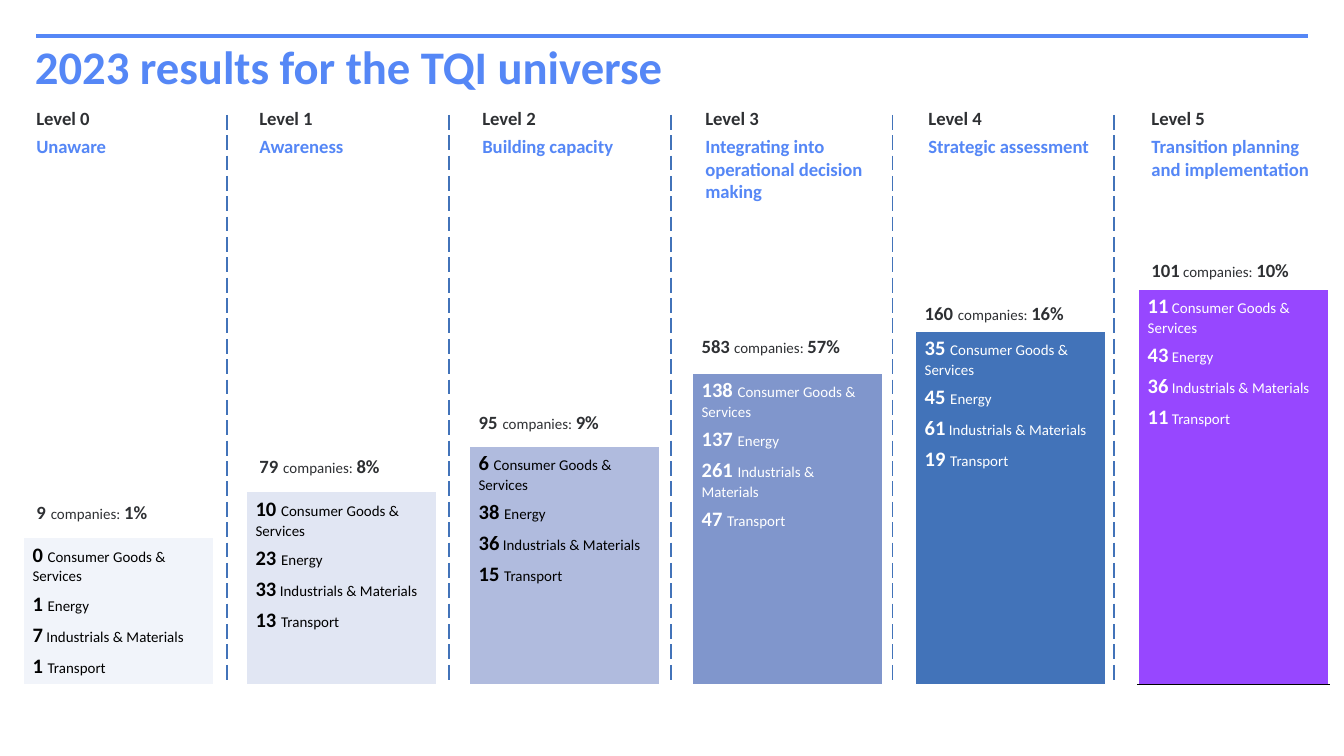
import pptx
import pptx.dml.color
import pptx.enum.dml
import pptx.enum.shapes
import pptx.enum.text
import pptx.oxml
import pptx.oxml.ns
import pptx.util

Pt = pptx.util.Pt
RGB = pptx.dml.color.RGBColor
Anchor = pptx.enum.text.MSO_ANCHOR

BLUE = RGB(0x55, 0x87, 0xF6)
DASH = RGB(0x42, 0x73, 0xB9)
INK = RGB(0x2E, 0x30, 0x33)
BLACK = RGB(0, 0, 0)
WHITE = RGB(0xFF, 0xFF, 0xFF)
FILLS = [RGB(0xF1, 0xF4, 0xFA), RGB(0xE1, 0xE6, 0xF3), RGB(0xB0, 0xBB, 0xDE),
         RGB(0x80, 0x96, 0xCC), DASH, RGB(0x97, 0x47, 0xFF)]

SECTORS = ["Consumer Goods & Services", "Energy", "Industrials & Materials", "Transport"]

# name, companies, share, size of the space after the total, box row, sector counts
LEVELS = [
    ("Unaware", 9, "1%", 12, 8, (0, 1, 7, 1)),
    ("Awareness", 79, "8%", 12, 7, (10, 23, 33, 13)),
    ("Building capacity", 95, "9%", 12, 6, (6, 38, 36, 15)),
    ("Integrating into operational decision making", 583, "57%", 10, 4,
     (138, 137, 261, 47)),
    ("Strategic assessment", 160, "16%", 12, 3, (35, 45, 61, 19)),
    ("Transition planning and implementation", 101, "10%", 8, 2, (11, 43, 36, 11)),
]
ROWS = [66, 34.8, 22.5, 22.5, 16.6, 22.5, 24.6, 24.6, 78.8]
LAST = len(ROWS) - 1
WIDE, GAP = 102.25, 17


class Deck:
    face = "Calibri"

    def __init__(self):
        self.prs = pptx.Presentation()
        self.prs.slide_width, self.prs.slide_height = Pt(720), Pt(405)
        self.slide = self.prs.slides.add_slide(self.prs.slide_layouts[5])

    def style(self, para, color, size=None, bold=None):
        font = para.font
        font.name, font.size, font.bold = self.face, size and Pt(size), bold
        font.color.rgb = color

    def title(self, text, x, y, w, h):
        box = self.slide.shapes.title
        box.left, box.top, box.width, box.height = Pt(x), Pt(y), Pt(w), Pt(h)
        frame = box.text_frame
        frame.text = text
        frame.margin_left = frame.margin_right = 0
        frame.margin_top = frame.margin_bottom = 0
        frame.vertical_anchor = Anchor.TOP
        frame.auto_size = pptx.enum.text.MSO_AUTO_SIZE.NONE
        para = frame.paragraphs[0]
        para.alignment = pptx.enum.text.PP_ALIGN.LEFT
        self.style(para, BLUE, 25, True)

    def line(self, x1, y1, x2, y2, color, width, dash=None):
        line = self.slide.shapes.add_connector(
            pptx.enum.shapes.MSO_CONNECTOR.STRAIGHT, Pt(x1), Pt(y1), Pt(x2), Pt(y2))
        line.line.color.rgb = color
        line.line.width = Pt(width)
        line.line.dash_style = dash
        line._element.spPr.append(pptx.oxml.parse_xml(
            f"<a:effectLst {pptx.oxml.ns.nsdecls('a')}/>"))

    def table(self, x, y, cols, rows):
        frame = self.slide.shapes.add_table(
            len(rows), len(cols), Pt(x), Pt(y), Pt(sum(cols)), Pt(sum(rows)))
        grid = frame.table
        grid.first_row = grid.horz_banding = False
        for col, width in zip(grid.columns, cols):
            col.width = Pt(width)
        for row, height in zip(grid.rows, rows):
            row.height = Pt(height)
        # Small type keeps blank cells from stretching their rows
        for cell in grid.iter_cells():
            cell.fill.background()
            end = cell.text_frame.paragraphs[0]._p.get_or_add_endParaRPr()
            end.set("sz", "600")
        return grid

    def fill(self, cell, color):
        cell.fill.solid()
        cell.fill.fore_color.rgb = color

    def inset(self, cell):
        cell.margin_left = cell.margin_right = Pt(5.2)
        cell.margin_top = cell.margin_bottom = Pt(2.6)

    def para(self, cell, first, color, runs):
        frame = cell.text_frame
        para = frame.paragraphs[0] if first else frame.add_paragraph()
        para.space_after = Pt(3)
        self.style(para, color)
        for text, size, bold in runs:
            run = para.add_run()
            run.text, run.font.size, run.font.bold = text, Pt(size), bold

    def border(self, cell, color):
        edge = pptx.oxml.parse_xml(
            f"<a:lnB {pptx.oxml.ns.nsdecls('a')} w='9525'><a:solidFill>"
            f"<a:srgbClr val='{color}'/></a:solidFill></a:lnB>")
        cell._tc.get_or_add_tcPr().insert(0, edge)


def main():
    deck = Deck()

    # Heading
    deck.line(19.5, 19.5, 700.5, 19.5, BLUE, 2)
    deck.title("2023 results for the TQI universe", 18.7, 20.2, 404, 29.5)

    # Staircase table: level columns with gaps between them
    cols = [WIDE, GAP] * (len(LEVELS) - 1) + [WIDE]
    grid = deck.table(12.25, 54, cols, ROWS)
    for i, (name, total, share, space, top, counts) in enumerate(LEVELS):
        col = 2 * i

        # Level heading
        head = grid.cell(0, col)
        deck.para(head, True, INK, [(f"Level {i}", 10, True)])
        deck.para(head, False, BLUE, [(name, 10, True)])

        # Total above the box
        label = grid.cell(top - 1, col)
        deck.para(label, True, INK, [(str(total), 10, True), (" ", space, True),
                                     ("companies: ", 8, False), (share, 10, True)])
        if i in (2, 3, 4):
            deck.inset(label)
        if i >= 4:
            label.vertical_anchor = Anchor.BOTTOM

        # Box with sector counts
        box = grid.cell(top, col)
        if top < LAST:
            box.merge(grid.cell(LAST, col))
        deck.fill(box, FILLS[i])
        deck.inset(box)
        for k, (count, sector) in enumerate(zip(counts, SECTORS)):
            tight = i == 5 or (k == 2 and i != 3)
            deck.para(box, k == 0, WHITE if i >= 3 else BLACK,
                      [(str(count), 11, True), (" ", 8 if tight else 11, not tight),
                       (sector, 8, False)])

        # Gap to the next level
        if i < len(LEVELS) - 1:
            for row in range(len(ROWS)):
                deck.fill(grid.cell(row, col + 1), WHITE)
    deck.border(box, BLACK)

    # Dashed dividers
    for i in range(len(LEVELS) - 1):
        x = 121.7 + 118.8 * i
        deck.line(x, 61.5, x, 364.3, DASH, 1, pptx.enum.dml.MSO_LINE.LONG_DASH)

    deck.prs.save("out.pptx")


if __name__ == "__main__":
    main()
